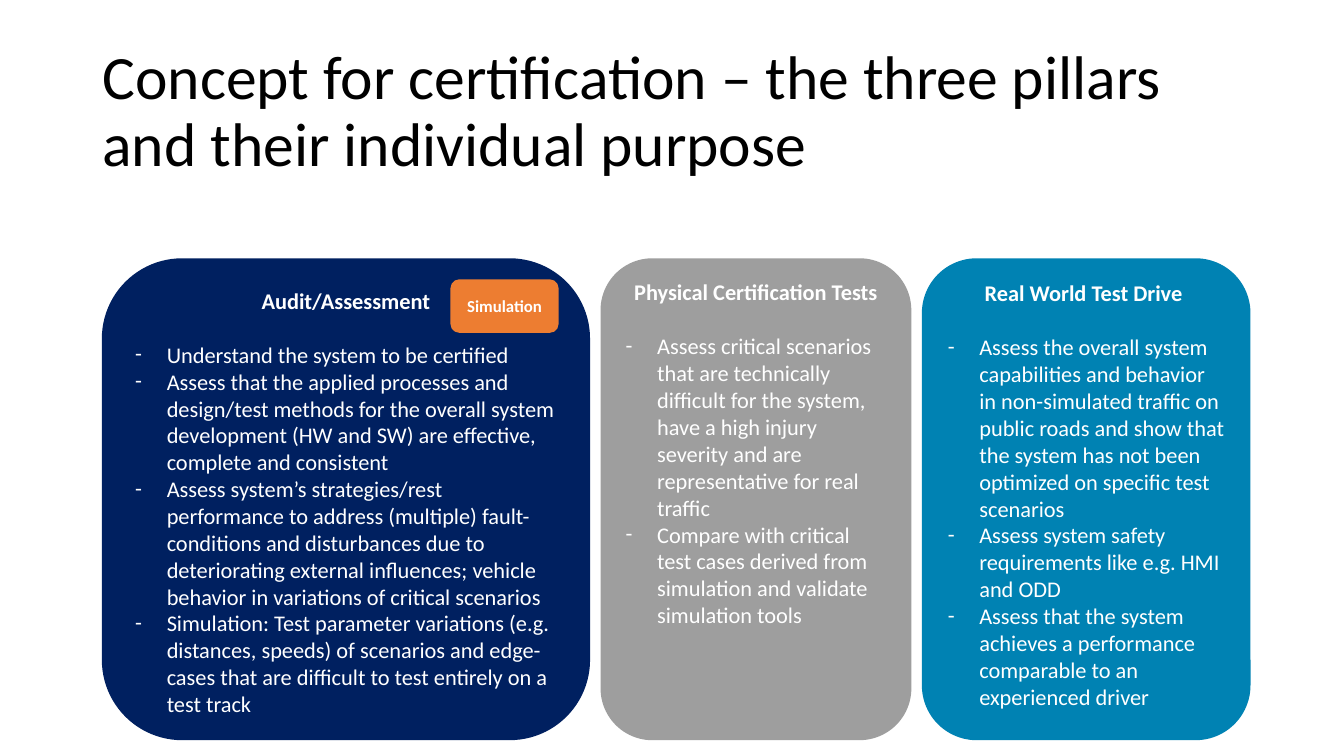
from lxml import etree
from pptx import Presentation
from pptx import util as u
from pptx.dml.color import RGBColor
from pptx.enum import shapes, text
from pptx.oxml.ns import qn

SCALE = 9525  # EMU per px
FONT = "Calibri"
WHITE = "FFFFFF"
PILLAR_LEFT, PILLAR_TOP, PILLAR_HEIGHT, PILLAR_GAP = 97, 246, 459, 10
BULLET_INDENT = 30

PILLARS = [
    (465, "002060", "Audit/Assessment", [
        "Understand the system to be certified",
        "Assess that the applied processes and design/test methods for the overall "
        "system development (HW and SW) are effective, complete and consistent",
        "Assess system’s strategies/rest performance to address (multiple) "
        "fault-conditions and disturbances due to deteriorating external influences; "
        "vehicle behavior in variations of critical scenarios",
        "Simulation: Test parameter variations (e.g. distances, speeds) of scenarios "
        "and edge-cases that are difficult to test entirely on a test track",
    ]),
    (296, "9E9E9E", "Physical Certification Tests", [
        "Assess critical scenarios that are technically difficult for the system, "
        "have a high injury severity and are representative for real traffic",
        "Compare with critical test cases derived from simulation and validate "
        "simulation tools",
    ]),
    (313, "0082B3", "Real World Test Drive ", [
        "Assess the overall system capabilities and behavior in non-simulated traffic "
        "on public roads and show that the system has not been optimized on specific "
        "test scenarios",
        "Assess system safety requirements like e.g. HMI and ODD",
        "Assess that the system achieves a performance comparable to an experienced driver",
    ]),
]


def px(length):
    return u.Emu(length * SCALE)


def color(hex_code):
    return RGBColor.from_string(hex_code)


def add_span(para, words, size, hex_code=WHITE, bold=False):
    span = para.add_run()
    span.text = words
    span.font.name = FONT
    span.font.size = u.Pt(size)
    span.font.bold = bold
    span.font.color.rgb = color(hex_code)


def set_dash_bullet(para):
    """Give the paragraph a dash with a hanging indent."""
    props = para._p.get_or_add_pPr()
    props.set("marL", str(px(BULLET_INDENT)))
    props.set("indent", str(-px(BULLET_INDENT)))
    etree.SubElement(props, qn("a:buFont"), typeface=FONT)
    etree.SubElement(props, qn("a:buChar"), char="-")


def add_rounded_box(page, left, top, width, height, fill, anchor):
    box = page.shapes.add_shape(shapes.MSO_SHAPE.ROUNDED_RECTANGLE,
                                px(left), px(top), px(width), px(height))
    box.shadow.inherit = False
    box.fill.solid()
    box.fill.fore_color.rgb = color(fill)
    box.line.fill.background()
    box.text_frame.word_wrap = True
    box.text_frame.vertical_anchor = anchor
    return box


def add_title(page, left, top, width, height):
    title = page.shapes.title
    title.left, title.top = px(left), px(top)
    title.width, title.height = px(width), px(height)
    frame = title.text_frame
    frame.auto_size = text.MSO_AUTO_SIZE.NONE
    frame.word_wrap = True
    frame.vertical_anchor = text.MSO_ANCHOR.MIDDLE
    para = frame.paragraphs[0]
    para.alignment = text.PP_ALIGN.LEFT
    para.line_spacing = 0.9
    add_span(para, "Concept for certification – the three pillars "
                   "and their individual purpose", 44, "000000")


def add_pillar(page, left, top, width, height, fill, heading, purposes):
    box = add_rounded_box(page, left, top, width, height, fill, text.MSO_ANCHOR.TOP)
    frame = box.text_frame
    para = frame.paragraphs[0]
    para.alignment = text.PP_ALIGN.CENTER
    para.space_after = u.Pt(19.5)
    add_span(para, heading, 16, bold=True)
    for purpose in purposes:
        para = frame.add_paragraph()
        para.alignment = text.PP_ALIGN.LEFT
        set_dash_bullet(para)
        add_span(para, purpose, 16)


def add_simulation_badge(page, left, top, width, height):
    box = add_rounded_box(page, left, top, width, height, "ED7D31", text.MSO_ANCHOR.MIDDLE)
    para = box.text_frame.paragraphs[0]
    para.alignment = text.PP_ALIGN.CENTER
    add_span(para, "Simulation", 12, bold=True)


def main():
    deck = Presentation()
    deck.slide_width, deck.slide_height = px(1280), px(720)
    page = deck.slides.add_slide(deck.slide_layouts[5])
    add_title(page, 88, 38, 1104, 139)
    left = PILLAR_LEFT
    for width, fill, heading, purposes in PILLARS:
        add_pillar(page, left, PILLAR_TOP, width, PILLAR_HEIGHT, fill, heading, purposes)
        left += width + PILLAR_GAP
    add_simulation_badge(page, PILLAR_LEFT + 332, PILLAR_TOP + 20, 103, 51)
    deck.save("out.pptx")


if __name__ == "__main__":
    main()
